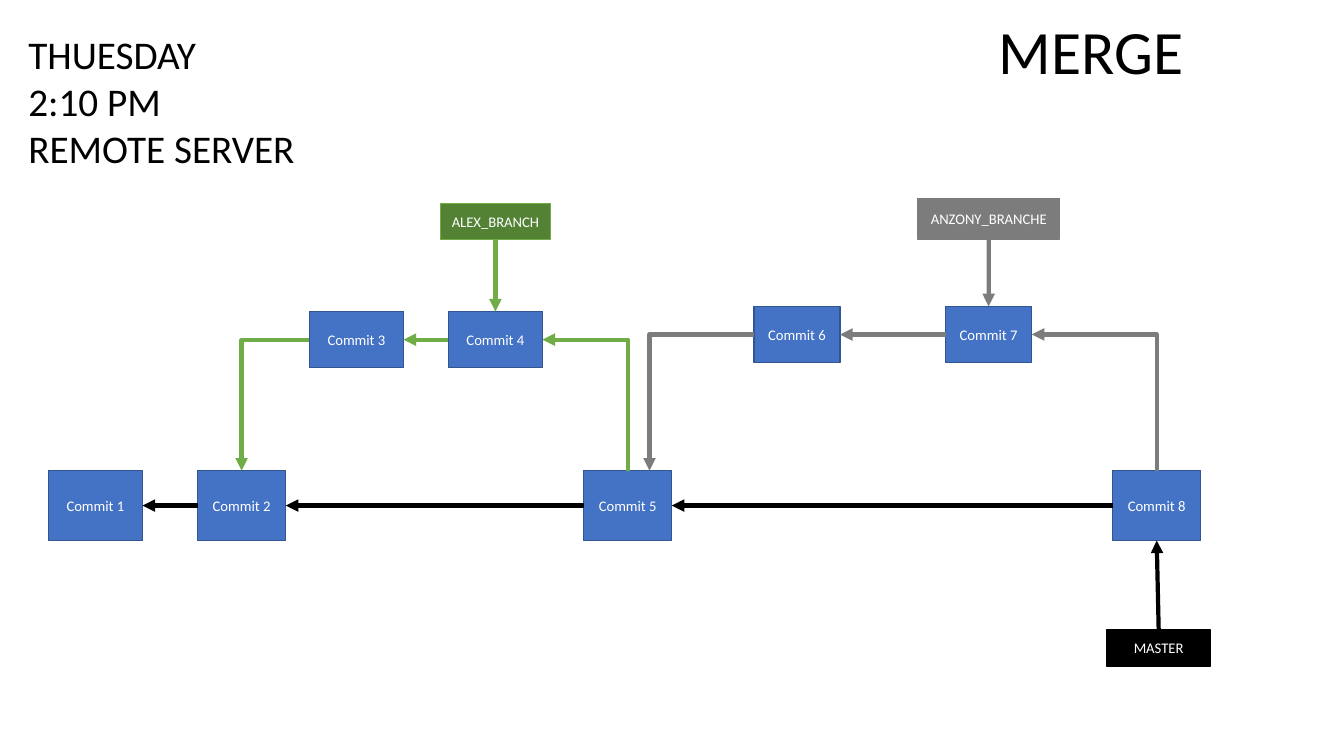
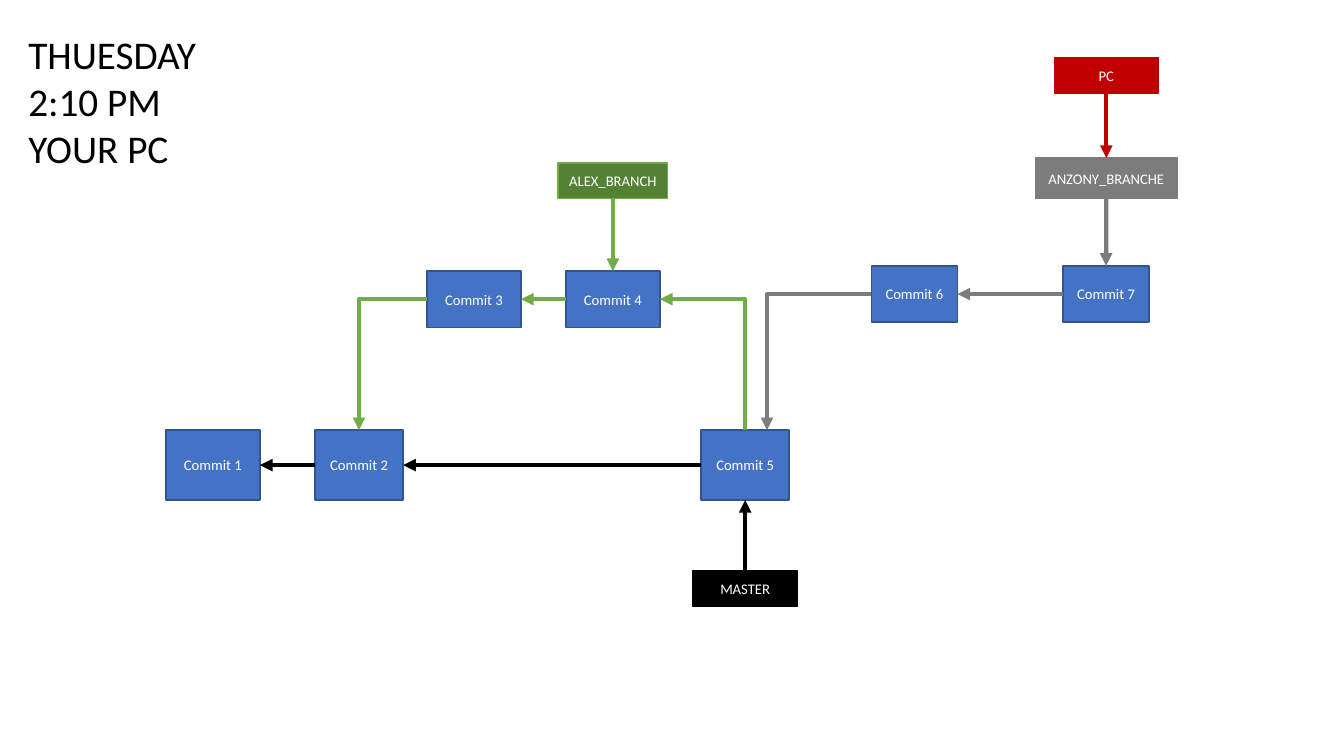
from lxml import etree
from pptx import Presentation
from pptx import util as u
from pptx.dml.color import RGBColor
from pptx.enum import shapes, text
from pptx.oxml.ns import qn

Cm = u.Cm
FONT = "Calibri"
BLUE, NAVY = "4472C4", "325491"
GREEN, MOSS = "70AD47", "548235"
GRAY, RED, BLACK, WHITE = "7C7C7C", "C00000", "000000", "FFFFFF"
TOP, LEFT, BASE, RIGHT = range(4)  # connection sites of a rectangle


def style(frame, size, color, align):
    for para in frame.paragraphs:
        para.alignment = align
        for run in para.runs:
            run.font.name = FONT
            run.font.size = u.Pt(size)
            run.font.color.rgb = RGBColor.from_string(color)


def finish(line, color):
    """Give a connector its colour, width and arrowhead, and no shadow."""
    line.line.color.rgb = RGBColor.from_string(color)
    line.line.width = u.Pt(3)
    props = line.element.spPr
    etree.SubElement(props.find(qn("a:ln")), qn("a:tailEnd"), type="triangle")
    etree.SubElement(props, qn("a:effectLst"))


# Tags: name, left, top, width, height, fill, outline (cm, first slide)
ROW, HIGH, ALEX, ANZONY = 11.86, 1.76, 7.85, 7.72
commits = [
    ("Commit 1", 1.22, ROW, 2.37, HIGH),
    ("Commit 2", 4.98, ROW, 2.22, HIGH),
    ("Commit 3", 7.8, ALEX, 2.37, 1.42),
    ("Commit 4", 11.3, ALEX, 2.37, 1.42),
    ("Commit 5", 14.71, ROW, 2.22, HIGH),
    ("Commit 6", 19, ANZONY, 2.17, 1.42),
    ("Commit 7", 23.83, ANZONY, 2.17, 1.42),
]
last = ("Commit 8", 28.04, ROW, 2.22, HIGH)
shared = [c + (BLUE, NAVY) for c in commits] + [
    ("ALEX_BRANCH", 11.1, 5.13, 2.77, 0.9, MOSS, GREEN),
    ("ANZONY_BRANCHE", 23.13, 5, 3.58, 1.02, GRAY, GRAY),
]

# Straight arrows: from, site, to, site, colour
arrows = [
    ("Commit 2", LEFT, "Commit 1", RIGHT, BLACK),
    ("Commit 5", LEFT, "Commit 2", RIGHT, BLACK),
    ("Commit 4", LEFT, "Commit 3", RIGHT, GREEN),
    ("Commit 7", LEFT, "Commit 6", RIGHT, GRAY),
    ("ALEX_BRANCH", BASE, "Commit 4", TOP, GREEN),
    ("ANZONY_BRANCHE", BASE, "Commit 7", TOP, GRAY),
]

# Bent arrows: upper box, lower box, shift from its middle, colour, rising
bends = [
    ("Commit 3", "Commit 2", 0, GREEN, False),
    ("Commit 4", "Commit 5", 0, GREEN, True),
    ("Commit 6", "Commit 5", 0.55, GRAY, False),
]

pages = [
    dict(
        title="THUESDAY\n2:10 PM\nREMOTE SERVER", head="MERGE", dx=0, dy=0,
        tags=[last + (BLUE, NAVY),
              ("MASTER", 27.89, 15.88, 2.62, 0.9, BLACK, BLACK)],
        arrows=[("Commit 8", LEFT, "Commit 5", RIGHT, BLACK),
                ("MASTER", TOP, "Commit 8", BASE, BLACK)],
        bends=[("Commit 7", "Commit 8", 0, GRAY, True)],
    ),
    dict(
        title="THUESDAY\n2:10 PM\nYOUR PC", head="", dx=2.96, dy=-1.02,
        tags=[("MASTER", 14.51, 15.4, 2.62, 0.9, BLACK, BLACK),
              ("PC", 23.61, 2.47, 2.62, 0.9, RED, RED)],
        arrows=[("MASTER", TOP, "Commit 5", BASE, BLACK),
                ("PC", BASE, "ANZONY_BRANCHE", TOP, RED)],
        bends=[],
    ),
]

deck = Presentation()
deck.slide_width, deck.slide_height = Cm(33.87), Cm(19.05)

for page in pages:
    slide = deck.slides.add_slide(deck.slide_layouts[5])
    pool = slide.shapes

    title = pool.title
    title.left, title.top = Cm(0.46), Cm(0.64)
    title.width, title.height = Cm(8.79), Cm(3.84)
    heads = [(title, page["title"], 28)]
    if page["head"]:
        box = pool.add_textbox(Cm(24.92), Cm(0.2), Cm(8.9), Cm(2.13))
        heads.append((box, page["head"], 44))
    for box, words, size in heads:
        frame = box.text_frame
        frame.text = words
        frame.word_wrap = True
        frame.auto_size = text.MSO_AUTO_SIZE.SHAPE_TO_FIT_TEXT
        frame.vertical_anchor = text.MSO_ANCHOR.TOP
        style(frame, size, BLACK, text.PP_ALIGN.LEFT)

    boxes = {}
    for name, x, y, w, h, fill, edge in shared + page["tags"]:
        box = pool.add_shape(shapes.MSO_SHAPE.RECTANGLE, Cm(x + page["dx"]),
                             Cm(y + page["dy"]), Cm(w), Cm(h))
        box.shadow.inherit = False
        box.fill.solid()
        box.fill.fore_color.rgb = RGBColor.from_string(fill)
        box.line.color.rgb = RGBColor.from_string(edge)
        box.line.width = u.Pt(1)
        frame = box.text_frame
        frame.text = name
        frame.word_wrap = False
        frame.vertical_anchor = text.MSO_ANCHOR.MIDDLE
        style(frame, 10.5, WHITE, text.PP_ALIGN.CENTER)
        boxes[name] = box

    for start, out, end, into, color in arrows + page["arrows"]:
        line = pool.add_connector(shapes.MSO_CONNECTOR.STRAIGHT, 0, 0, 0, 0)
        line.begin_connect(boxes[start], out)
        line.end_connect(boxes[end], into)
        finish(line, color)

    for high, low, shift, color, rising in bends + page["bends"]:
        upper, lower = boxes[high], boxes[low]
        x1 = upper.left + (upper.width if rising else 0)
        y1 = upper.top + upper.height // 2
        x2 = lower.left + lower.width // 2 + Cm(shift)
        y2 = lower.top
        ends = x1, y1, x2, y2
        if rising:  # laid flat here, then turned about its centre
            midx, midy = (x1 + x2) // 2, (y1 + y2) // 2
            halfw, halfh = (y2 - y1) // 2, (x2 - x1) // 2
            ends = midx - halfw, midy + halfh, midx + halfw, midy - halfh
        line = pool.add_connector(shapes.MSO_CONNECTOR.ELBOW, *ends)
        props = line.element.spPr
        props.find(qn("a:prstGeom")).set("prst", "bentConnector2")
        if rising:
            props.find(qn("a:xfrm")).set("rot", str(270 * 60000))
        finish(line, color)

deck.save("out.pptx")
